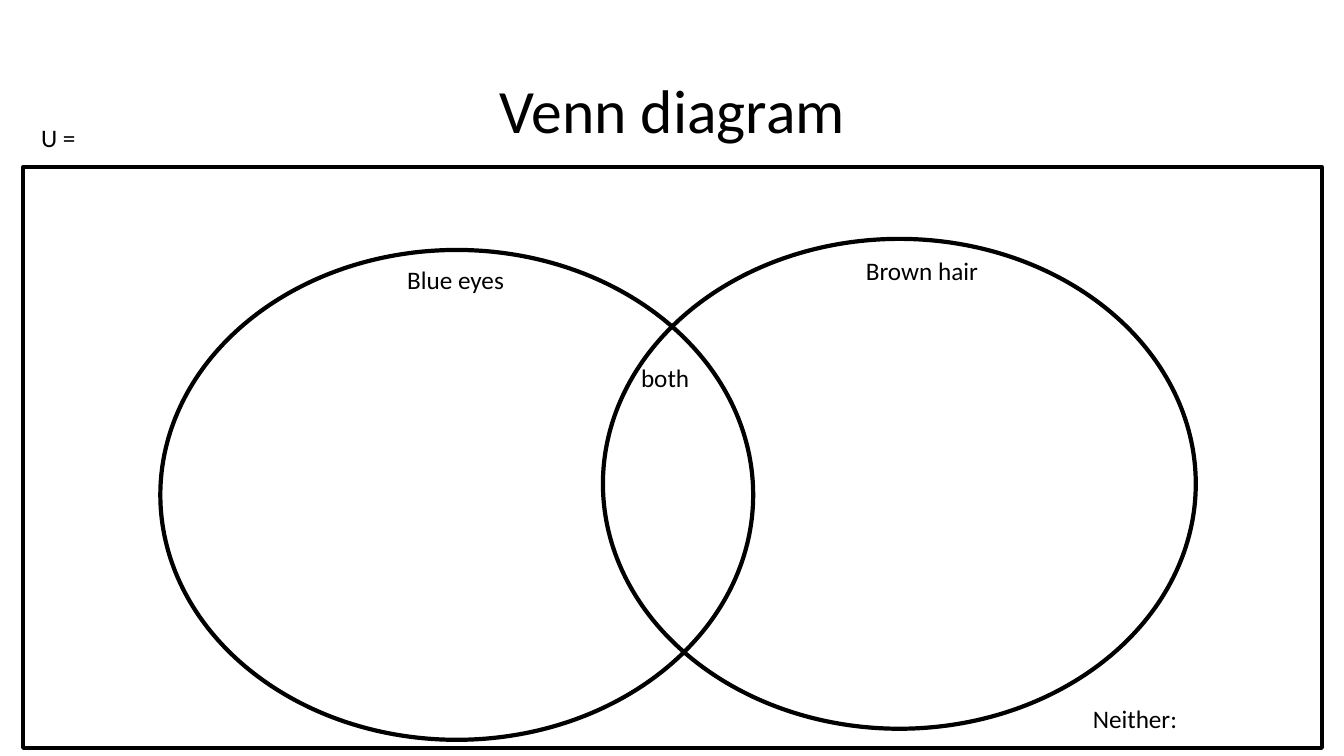
from pptx import Presentation
from pptx.dml.color import RGBColor
from pptx.enum.shapes import MSO_SHAPE
from pptx.enum.text import MSO_ANCHOR, MSO_AUTO_SIZE, PP_ALIGN
from pptx.util import Inches, Pt

TITLE = "Venn diagram"
TITLE_BOX = (0.92, 0.4, 11.5, 1.45)
CIRCLE_SIZE = (5.88, 4.86)
OUTLINES = [
    (MSO_SHAPE.OVAL, (1.59, 2.48, *CIRCLE_SIZE)),
    (MSO_SHAPE.OVAL, (5.98, 2.37, *CIRCLE_SIZE)),
    (MSO_SHAPE.RECTANGLE, (0.23, 1.66, 12.88, 5.76)),
]
LABEL_HEIGHT = 0.4
LABELS = [  # wording, left, top, width
    ("Blue eyes", 3.94, 2.57, 1.17),
    ("Brown hair", 8.49, 2.48, 1.33),
    ("both", 6.26, 3.55, 0.74),
    ("U =", 0.31, 1.16, 0.61),
    ("Neither:", 10.74, 6.93, 1.11),
]
COLORS = {"ink": "000000"}
FONT = "Calibri"


def style_text(paragraph, size):
    for run in paragraph.runs:
        run.font.name = FONT
        run.font.size = Pt(size)
        run.font.color.rgb = RGBColor.from_string(COLORS["ink"])


def add_title(slide):
    title = slide.shapes.title
    title.left, title.top, title.width, title.height = map(Inches, TITLE_BOX)
    frame = title.text_frame
    frame.text = TITLE
    frame.vertical_anchor = MSO_ANCHOR.MIDDLE
    heading = frame.paragraphs[0]
    heading.alignment = PP_ALIGN.CENTER
    heading.line_spacing = 0.9
    style_text(heading, 44)


def add_outline(slide, kind, box):
    outline = slide.shapes.add_shape(kind, *map(Inches, box))
    outline.shadow.inherit = False
    outline.fill.background()
    outline.line.color.rgb = RGBColor.from_string(COLORS["ink"])
    outline.line.width = Pt(3)


def add_label(slide, wording, left, top, width):
    box = map(Inches, (left, top, width, LABEL_HEIGHT))
    frame = slide.shapes.add_textbox(*box).text_frame
    frame.word_wrap = False
    frame.auto_size = MSO_AUTO_SIZE.SHAPE_TO_FIT_TEXT
    frame.text = wording
    frame.paragraphs[0].alignment = PP_ALIGN.LEFT
    style_text(frame.paragraphs[0], 18)


def main():
    deck = Presentation()
    deck.slide_width, deck.slide_height = Inches(13.33), Inches(7.5)
    slide = deck.slides.add_slide(deck.slide_layouts.get_by_name("Title Only"))
    add_title(slide)
    for kind, box in OUTLINES:
        add_outline(slide, kind, box)
    for label in LABELS:
        add_label(slide, *label)
    deck.save("out.pptx")


if __name__ == "__main__":
    main()
